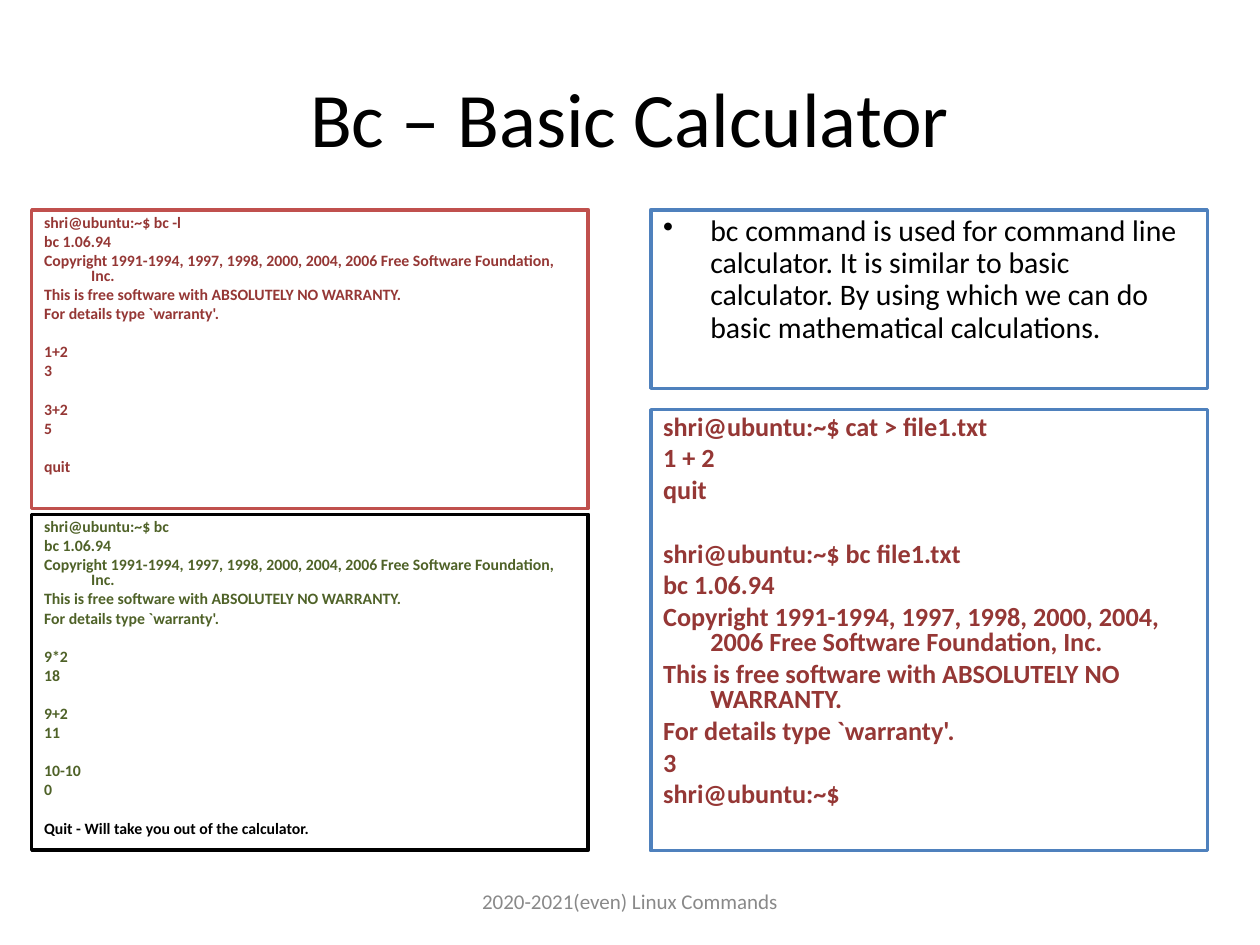
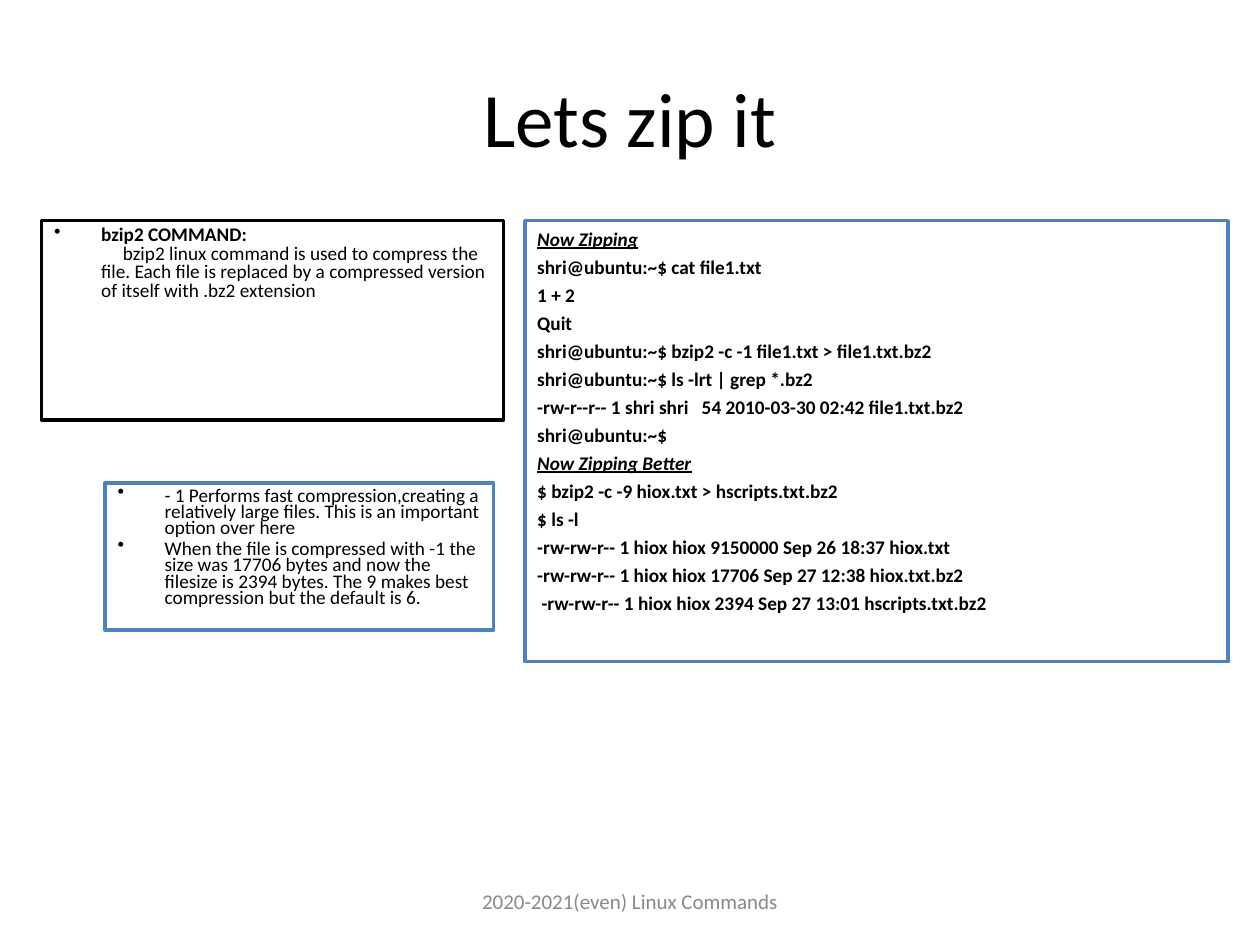
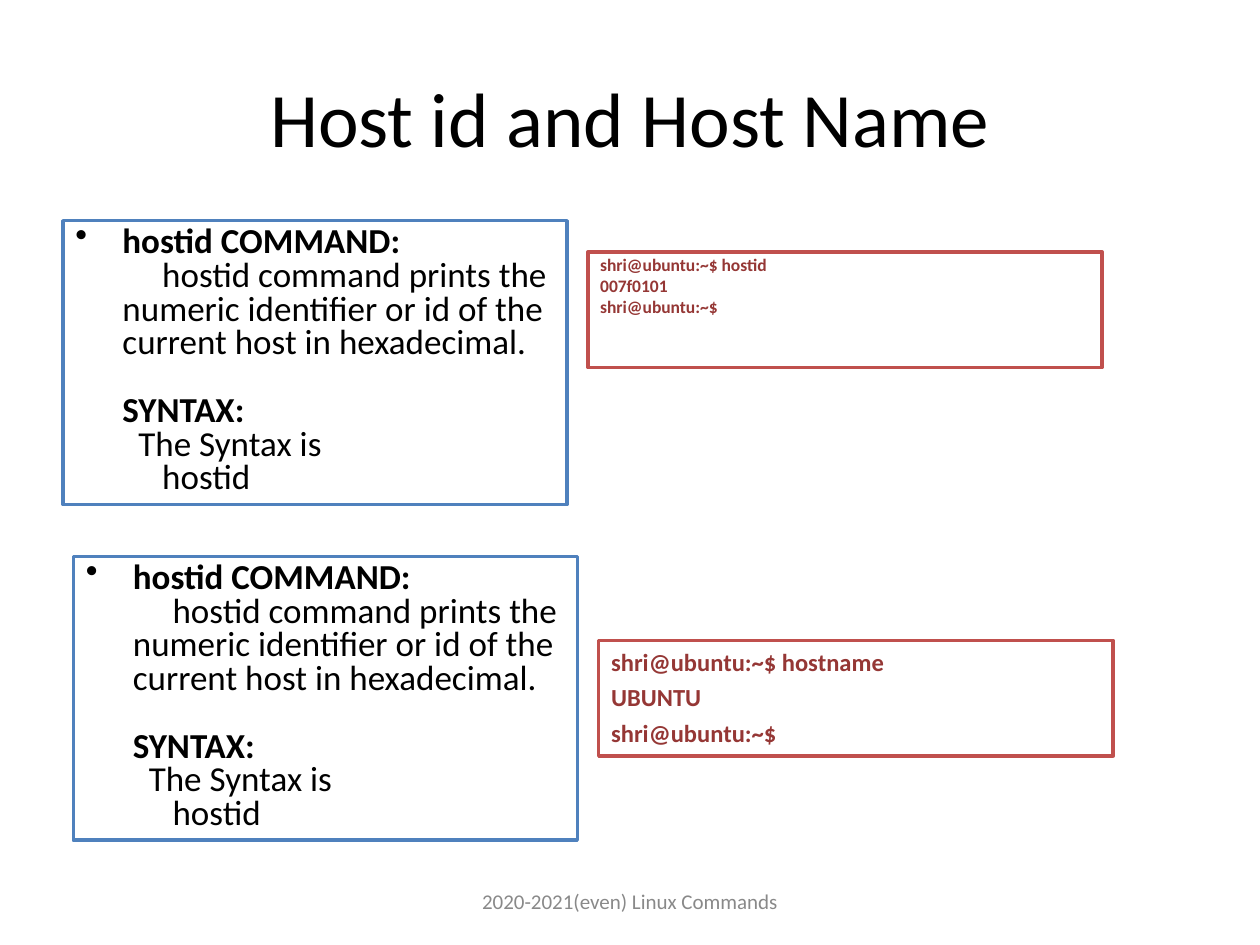
"""Build three slides on the bc, bzip2 and hostid commands."""
from pptx import Presentation
from pptx.dml.color import RGBColor
from pptx.enum.shapes import MSO_SHAPE
from pptx.enum.text import MSO_ANCHOR, PP_ALIGN
from pptx.util import Cm, Pt
from lxml import etree

RECTANGLE = MSO_SHAPE.RECTANGLE
TOP, MIDDLE = MSO_ANCHOR.TOP, MSO_ANCHOR.MIDDLE
LEFT, CENTER = PP_ALIGN.LEFT, PP_ALIGN.CENTER

COLORS = {
    "white": "FFFFFF", "black": "000000", "blue": "4F81BD", "red": "C0504D",
    "dark red": "953735", "dark green": "4F6228", "gray": "898989",
}
FONT = "Calibri"
HANG = 0.95
LINE_HEIGHT = 1.22
TITLE_AT = (1.27, 0.76, 22.86, 3.18)
FOOTER_AT = (8.68, 17.65, 8.04, 1.02)
FOOTER = "2020-2021(even) Linux Commands"

BANNER = [
    "bc 1.06.94",
    "Copyright 1991-1994, 1997, 1998, 2000, 2004, 2006 Free Software Foundation, Inc.",
    "This is free software with ABSOLUTELY NO WARRANTY.",
    "For details type `warranty'.",
]
BULLET = {"bullet": True}
HEADING = {"bullet": True, "bold": True}
SUBHEADING = {"italic": True, "underline": True}
HOSTID_HELP = [
    [("hostid COMMAND:", HEADING),
     ("hostid command prints the numeric identifier or id of the current host "
      "in hexadecimal.", {"first": 0.8})],
    [("SYNTAX:", {"bold": True, "first": 0}),
     ("The Syntax is", {"first": 0.32}),
     ("hostid", {"first": 0.8})],
]

SLIDES = [
    ("Bc – Basic Calculator", [
        {"at": (0.64, 4.23, 11.22, 6.02), "line": "red", "color": "dark red",
         "size": 9, "spacing": 0.8, "before": 2.2, "bold": True,
         "groups": [["shri@ubuntu:~$ bc -l"] + BANNER,
                    ["1+2", "3"], ["3+2", "5"], ["quit"]]},
        {"at": (0.64, 10.37, 11.22, 6.77), "line": "black", "color": "dark green",
         "size": 9, "spacing": 0.8, "before": 2.2, "bold": True,
         "groups": [["shri@ubuntu:~$ bc"] + BANNER,
                    ["9*2", "18"], ["9+2", "11"], ["10-10", "0"],
                    [("Quit - Will take you out of the calculator.",
                      {"color": "black"})]]},
        {"at": (13.12, 4.23, 11.22, 3.6), "line": "blue", "color": "black",
         "size": 17, "spacing": 0.9, "before": 4.2, "bold": False,
         "groups": [[("bc command is used for command line calculator. It is similar "
                      "to basic calculator. By using which we can do basic "
                      "mathematical calculations.", BULLET)]]},
        {"at": (13.12, 8.26, 11.22, 8.89), "line": "blue", "color": "dark red",
         "size": 15, "spacing": 0.8, "before": 3.7, "bold": True,
         "groups": [["shri@ubuntu:~$ cat > file1.txt", "1 + 2", "quit"],
                    ["shri@ubuntu:~$ bc file1.txt"] + BANNER
                    + ["3", "shri@ubuntu:~$"]]},
    ]),
    ("Lets zip it", [
        {"at": (0.84, 4.45, 9.31, 4.02), "line": "black", "color": "black",
         "size": 11, "spacing": 0.8, "before": 0, "bold": False,
         "groups": [[("bzip2 COMMAND:", HEADING),
                     ("bzip2 linux command is used to compress the file. Each file is "
                      "replaced by a compressed version of itself with .bz2 extension",
                      {"first": 0.44})]]},
        {"at": (2.12, 9.74, 7.83, 2.96), "line": "blue", "color": "black",
         "size": 11, "spacing": 0.7, "before": 2.8, "bold": False,
         "groups": [[("- 1 Performs fast compression,creating a relatively large files. "
                      "This is an important option over here", BULLET),
                     ("When the file is compressed with -1 the size was 17706 bytes and "
                      "now the filesize is 2394 bytes. The 9 makes best compression but "
                      "the default is 6.", BULLET)]]},
        {"at": (10.58, 4.45, 14.18, 8.89), "line": "blue", "color": "black",
         "size": 11, "spacing": 1.0, "before": 2.8, "bold": True,
         "groups": [[("Now Zipping", SUBHEADING),
                     "shri@ubuntu:~$ cat file1.txt",
                     "1 + 2",
                     "Quit",
                     "shri@ubuntu:~$ bzip2 -c -1 file1.txt > file1.txt.bz2",
                     "shri@ubuntu:~$ ls -lrt | grep *.bz2",
                     "-rw-r--r-- 1 shri shri   54 2010-03-30 02:42 file1.txt.bz2",
                     "shri@ubuntu:~$",
                     ("Now Zipping Better", SUBHEADING),
                     "$ bzip2 -c -9 hiox.txt > hscripts.txt.bz2",
                     "$ ls -l",
                     "-rw-rw-r-- 1 hiox hiox 9150000 Sep 26 18:37 hiox.txt",
                     "-rw-rw-r-- 1 hiox hiox 17706 Sep 27 12:38 hiox.txt.bz2",
                     " -rw-rw-r-- 1 hiox hiox 2394 Sep 27 13:01 hscripts.txt.bz2"]]},
    ]),
    ("Host id and Host Name", [
        {"at": (1.27, 4.45, 10.16, 5.72), "line": "blue", "color": "black",
         "size": 20, "spacing": 0.8, "before": 0, "bold": False,
         "groups": HOSTID_HELP},
        {"at": (11.85, 5.08, 10.37, 2.33), "line": "red", "color": "dark red",
         "size": 10, "spacing": 0.8, "before": 2.5, "bold": True,
         "groups": [["shri@ubuntu:~$ hostid", "007f0101", "shri@ubuntu:~$"]]},
        {"at": (12.07, 12.91, 10.37, 2.33), "line": "red", "color": "dark red",
         "size": 14, "spacing": 1.0, "before": 3.5, "bold": True,
         "groups": [["shri@ubuntu:~$ hostname", "UBUNTU", "shri@ubuntu:~$"]]},
        {"at": (1.48, 11.22, 10.16, 5.72), "line": "blue", "color": "black",
         "size": 20, "spacing": 0.8, "before": 0, "bold": False,
         "groups": HOSTID_HELP},
    ]),
]


def rgb(name):
    return RGBColor.from_string(COLORS[name])


def add_span(para, text, size, color, bold=False, italic=False, underline=False):
    span = para.add_run()
    span.text = text
    font = span.font
    font.name, font.size, font.bold = FONT, Pt(size), bold
    font.italic, font.underline = italic, underline
    font.color.rgb = rgb(color)


def set_indent(para, first, bullet):
    properties = para._p.get_or_add_pPr()
    properties.set("marL", str(Cm(HANG)))
    properties.set("indent", str(Cm(first)))
    if bullet:
        namespace = properties.nsmap["a"]
        etree.SubElement(properties, f"{{{namespace}}}buChar").set("char", "•")


def add_caption(page, at, text, size, color):
    frame = page.shapes.add_textbox(*map(Cm, at)).text_frame
    frame.word_wrap = True
    frame.vertical_anchor = MIDDLE
    para = frame.paragraphs[0]
    para.alignment = CENTER
    add_span(para, text, size, color)


def add_panel(page, panel):
    box = page.shapes.add_shape(RECTANGLE, *map(Cm, panel["at"]))
    box.shadow.inherit = False
    box.fill.solid()
    box.fill.fore_color.rgb = rgb("white")
    box.line.color.rgb = rgb(panel["line"])
    box.line.width = Pt(2)
    frame = box.text_frame
    frame.word_wrap = True
    frame.vertical_anchor = TOP

    size, spacing, before = panel["size"], panel["spacing"], panel["before"]
    group_gap = 2 * before + size * LINE_HEIGHT * spacing
    para = None
    for group in panel["groups"]:
        for position, line in enumerate(group):
            text, style = (line, {}) if isinstance(line, str) else line
            if para is None:
                para = frame.paragraphs[0]
            else:
                para = frame.add_paragraph()
                para.space_before = Pt(before if position else group_gap)
            set_indent(para, style.get("first", -HANG), style.get("bullet", False))
            para.alignment = LEFT
            para.line_spacing = spacing
            add_span(para, text, size, style.get("color", panel["color"]),
                     style.get("bold", panel["bold"]),
                     style.get("italic", False), style.get("underline", False))


def main():
    deck = Presentation()
    deck.slide_width, deck.slide_height = Cm(25.4), Cm(19.05)
    for title, panels in SLIDES:
        page = deck.slides.add_slide(deck.slide_layouts[6])
        add_caption(page, TITLE_AT, title, 44, "black")
        for panel in panels:
            add_panel(page, panel)
        add_caption(page, FOOTER_AT, FOOTER, 12, "gray")
    deck.save("out.pptx")


if __name__ == "__main__":
    main()
